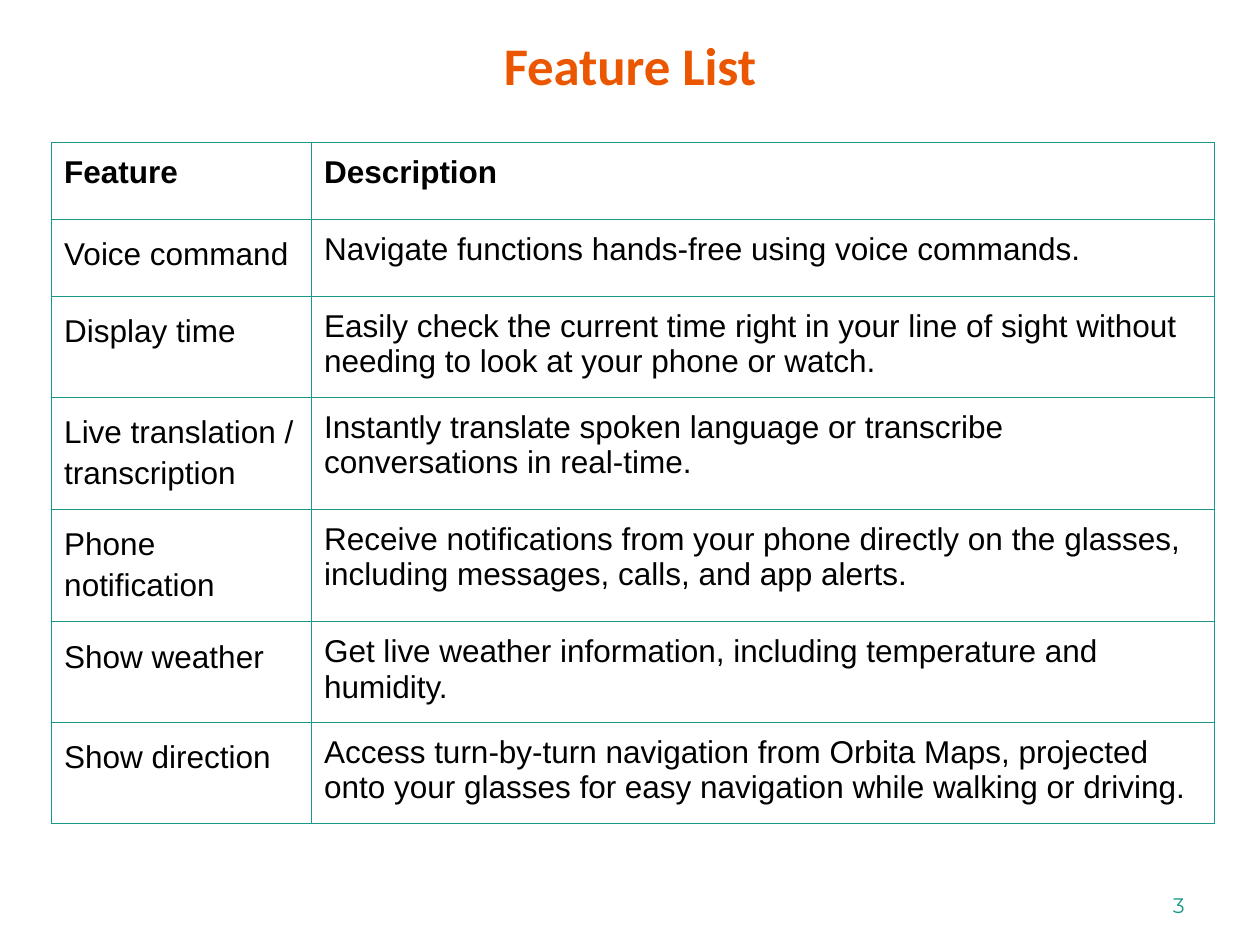
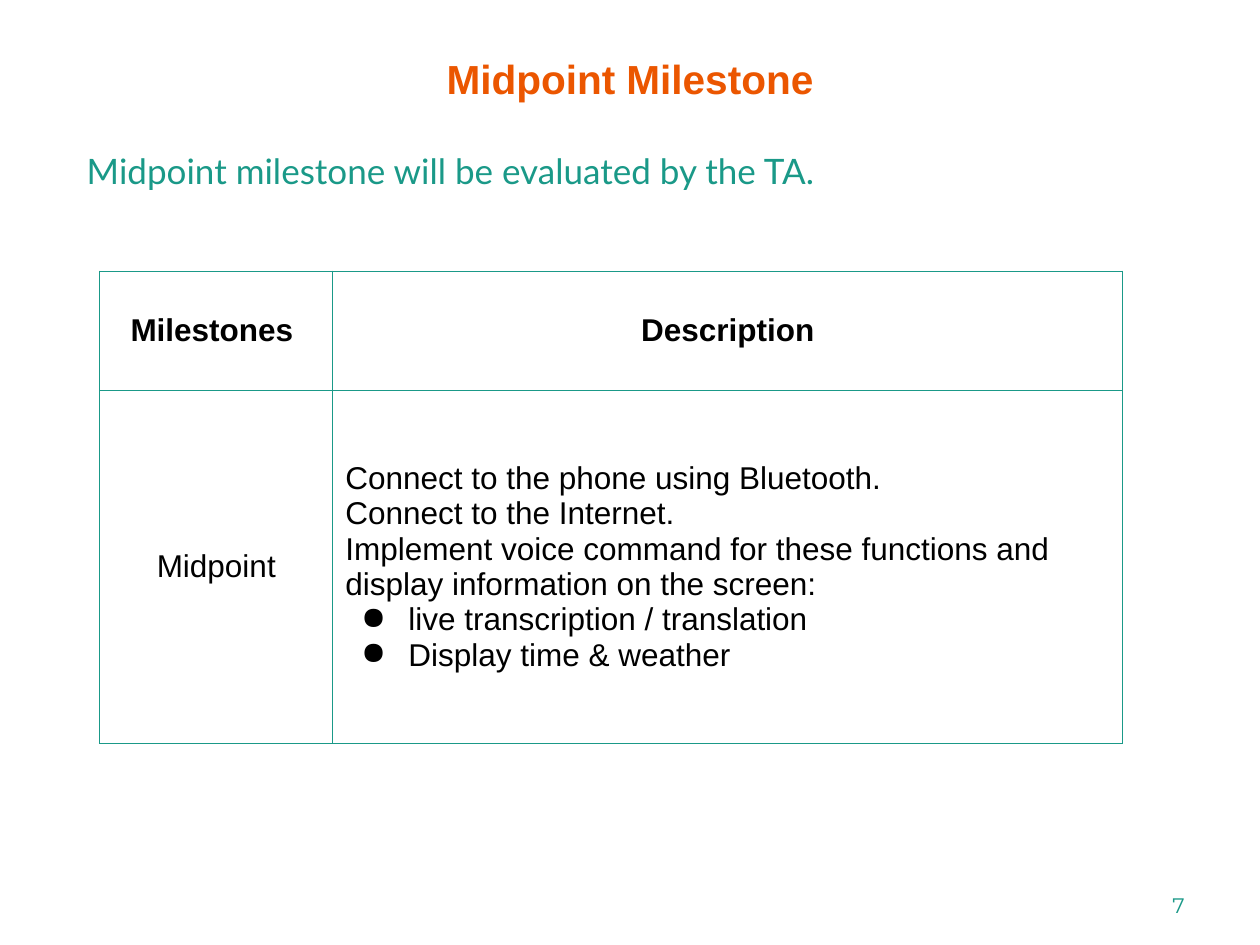
from pptx import Presentation
from pptx import util as u
from pptx.dml.color import RGBColor
from pptx.enum import text
from pptx.oxml import parse_xml
from pptx.oxml.ns import nsdecls
from pptx.util import Pt

COLOURS = {"title": "EB5600", "teal": "1A9988", "body": "000000"}
BODY_FONT = "Arial"
BORDER_WIDTH = 0.75
CENTER, RIGHT = text.PP_ALIGN.CENTER, text.PP_ALIGN.RIGHT
TOP, MIDDLE, BOTTOM = text.MSO_ANCHOR.TOP, text.MSO_ANCHOR.MIDDLE, text.MSO_ANCHOR.BOTTOM

FEATURES = [
    ("Feature", "Description"),
    ("Voice command", "Navigate functions hands-free using voice commands."),
    ("Display time", "Easily check the current time right in your line of sight "
     "without needing to look at your phone or watch."),
    ("Live translation / transcription", "Instantly translate spoken language "
     "or transcribe conversations in real-time."),
    ("Phone notification", "Receive notifications from your phone directly on "
     "the glasses, including messages, calls, and app alerts."),
    ("Show weather", "Get live weather information, including temperature and humidity."),
    ("Show direction", "Access turn-by-turn navigation from Orbita Maps, projected "
     "onto your glasses for easy navigation while walking or driving."),
]
GOALS = [
    "Connect to the phone using Bluetooth.",
    "Connect to the Internet.",
    "Implement voice command for these functions and display information on the screen:",
]
FUNCTIONS = ["live transcription / translation", "Display time & weather"]
MILESTONES = [
    ("Milestones ", "Description"),
    ("Midpoint", "\n".join(GOALS + FUNCTIONS)),
]


def style(paragraph, font, size, colour, bold=False, align=None):
    paragraph.alignment = align
    paragraph.font.name = font
    paragraph.font.size = Pt(size)
    paragraph.font.bold = bold
    paragraph.font.color.rgb = RGBColor.from_string(COLOURS[colour])


def add_text(page, box, words, font, size, colour, bold=False, align=None, anchor=TOP):
    frame = page.shapes.add_textbox(*map(Pt, box)).text_frame
    frame.word_wrap = True
    frame.vertical_anchor = anchor
    frame.text = words
    style(frame.paragraphs[0], font, size, colour, bold, align)
    return frame


def add_title(page, top, words, font, size, room_below=3.6):
    """Lowered title, centred above the room kept free at the foot of its box."""
    frame = add_text(page, (78, top, 564, 93), words, font, size, "title", True, CENTER, MIDDLE)
    frame.margin_bottom = Pt(room_below)
    frame.paragraphs[0].runs[0].font.size = Pt(size)
    frame.paragraphs[0].runs[0]._r.get_or_add_rPr().set("baseline", "-25000")


def add_page_number(page, number):
    add_text(page, (516, 492, 168, 36), str(number), "Montserrat", 12, "teal",
             align=RIGHT, anchor=BOTTOM)


def add_borders(cell):
    properties = cell._tc.get_or_add_tcPr()
    for side in "LRTB":
        properties.append(parse_xml(
            f'<a:ln{side} {nsdecls("a")} w="{Pt(BORDER_WIDTH)}"><a:solidFill>'
            f'<a:srgbClr val="{COLOURS["teal"]}"/></a:solidFill></a:ln{side}>'))


def add_bullet(paragraph):
    properties = paragraph._p.get_or_add_pPr()
    properties.set("marL", str(Pt(36)))
    properties.set("indent", str(Pt(-27)))
    colour = parse_xml(f'<a:buClr {nsdecls("a")}><a:srgbClr val="{COLOURS["body"]}"/></a:buClr>')
    mark = parse_xml(f'<a:buChar {nsdecls("a")} char="●"/>')
    properties.insert_element_before(colour, "a:buChar", "a:defRPr")
    properties.insert_element_before(mark, "a:defRPr")


def add_grid(page, left, top, widths, heights, rows, anchor=TOP):
    """Outlined table with a bold first row; returns the table."""
    table = page.shapes.add_table(len(rows), len(widths), Pt(left), Pt(top),
                                  Pt(sum(widths)), Pt(sum(heights))).table
    table.first_row = table.horz_banding = False
    for column, width in zip(table.columns, widths):
        column.width = Pt(width)
    for row_index, (row, height) in enumerate(zip(rows, heights)):
        table.rows[row_index].height = Pt(height)
        for column_index, words in enumerate(row):
            cell = table.cell(row_index, column_index)
            add_borders(cell)
            cell.fill.background()
            cell.vertical_anchor = anchor
            cell.margin_left = cell.margin_right = Pt(7.2)
            cell.margin_top = cell.margin_bottom = Pt(7.2)
            cell.text = words
            for paragraph in cell.text_frame.paragraphs:
                style(paragraph, BODY_FONT, 18, "body", row_index == 0)
    return table


def build_feature_list(page):
    add_page_number(page, 3)
    add_title(page, -3, "Feature List", "Calibri", 52, room_below=51.6)
    table = add_grid(page, 29.5, 81.4, (148.5, 516), [44] * len(FEATURES), FEATURES)
    for row in range(1, len(FEATURES)):
        table.cell(row, 0).text_frame.paragraphs[0].line_spacing = 1.15


def build_midpoint(page):
    add_page_number(page, 7)
    add_title(page, -15, "Midpoint Milestone", BODY_FONT, 40)
    add_text(page, (42.5, 82, 653, 58), "Midpoint milestone will be evaluated by the TA.",
             "Lato", 20, "teal")
    table = add_grid(page, 57, 155, (133.2, 451.4), (68, 202), MILESTONES, MIDDLE)
    for row, column in ((0, 0), (0, 1), (1, 0)):
        table.cell(row, column).text_frame.paragraphs[0].alignment = CENTER
    for paragraph in table.cell(1, 1).text_frame.paragraphs[len(GOALS):]:
        add_bullet(paragraph)


def main():
    deck = Presentation()
    deck.slide_width, deck.slide_height = u.Pt(720), u.Pt(540)
    for build in (build_feature_list, build_midpoint):
        build(deck.slides.add_slide(deck.slide_layouts[6]))
    deck.save("out.pptx")


if __name__ == "__main__":
    main()
